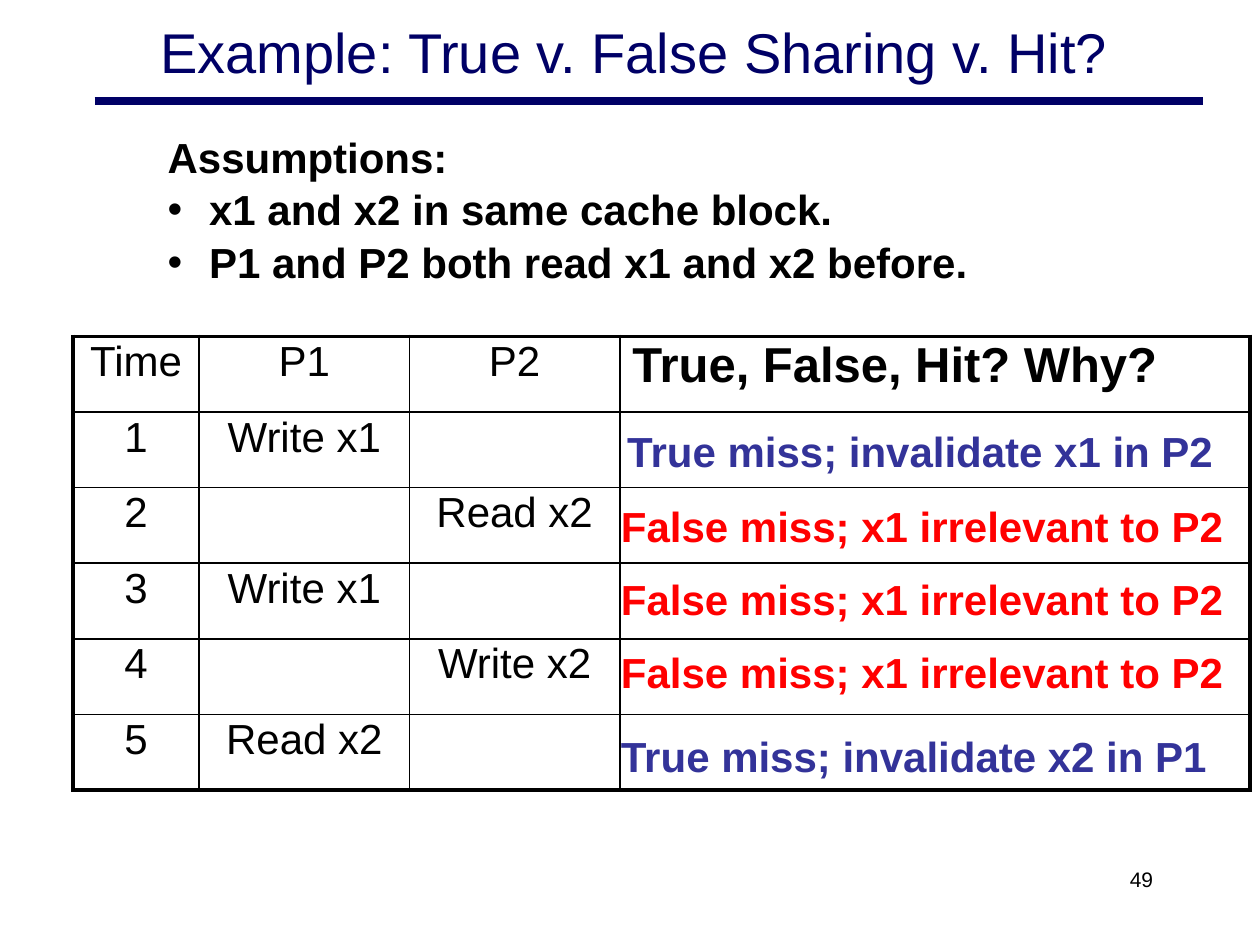
"""Build the slide on true sharing, false sharing and hits."""
import pptx
import pptx.dml.color
import pptx.enum.shapes
import pptx.enum.text
import pptx.oxml.ns
import pptx.util
from lxml import etree

Inches = pptx.util.Inches
Pt = pptx.util.Pt
ALIGN = pptx.enum.text.PP_ALIGN
ANCHOR = pptx.enum.text.MSO_ANCHOR
COLORS = {"navy": "000066", "black": "000000", "true": "333399", "false": "FF0000"}
MARGINS = {
    "margin_left": Inches(0.1),
    "margin_top": Inches(0.05),
    "margin_right": Inches(0.1),
    "margin_bottom": 0,
}
ASSUMPTIONS = [
    "Assumptions:",
    "x1 and x2 in same cache block.",
    "P1 and P2 both read x1 and x2 before.",
]
COLUMN_WIDTHS = [1, 1.67, 1.67, 5]
ROWS = [
    ["Time", "P1", "P2", "True, False, Hit? Why?"],
    ["1", "Write x1", "", ""],
    ["2", "", "Read x2", ""],
    ["3", "Write x1", "", ""],
    ["4", "", "Write x2", ""],
    ["5", "Read x2", "", ""],
]
FALSE_MISS = "False miss; x1 irrelevant to P2"
ANSWERS = [
    (4.88, 3.33, 4.87, "True miss; invalidate x1 in P2", "true"),
    (4.83, 3.92, 4.98, FALSE_MISS, "false"),
    (4.83, 4.5, 4.98, FALSE_MISS, "false"),
    (4.83, 5.08, 4.98, FALSE_MISS, "false"),
    (4.83, 5.75, 4.87, "True miss; invalidate x2 in P1", "true"),
]


def set_attributes(target, values):
    for name, value in values.items():
        setattr(target, name, value)


def rgb(color):
    return pptx.dml.color.RGBColor.from_string(COLORS[color])


def add_child(parent, tag, **attributes):
    return etree.SubElement(parent, pptx.oxml.ns.qn(tag), attributes)


def place(shape, left, top, width, height):
    box = zip(("left", "top", "width", "height"), (left, top, width, height))
    set_attributes(shape, {name: Inches(value) for name, value in box})


def write_paragraph(paragraph, text, size=24, color="black", bold=False, **layout):
    run = paragraph.add_run()
    run.text = text
    set_attributes(run.font, {"name": "Arial", "size": Pt(size), "bold": bold})
    run.font.color.rgb = rgb(color)
    set_attributes(paragraph, layout)


def add_title(slide):
    title = slide.shapes.title
    place(title, 0.84, 0, 8.39, 0.81)
    title.text_frame.vertical_anchor = ANCHOR.MIDDLE
    write_paragraph(
        title.text_frame.paragraphs[0],
        "Example: True v. False Sharing v. Hit?",
        size=32,
        color="navy",
        alignment=ALIGN.CENTER,
    )


def add_rule(slide):
    rule = slide.shapes.add_connector(
        pptx.enum.shapes.MSO_CONNECTOR.STRAIGHT,
        Inches(0.75), Inches(0.8), Inches(9.55), Inches(0.8),
    )
    rule.line.color.rgb = rgb("navy")
    rule.line.width = Pt(4.5)
    add_child(rule._element.spPr, "a:effectLst")


def add_assumptions(slide):
    body = slide.placeholders[1]
    place(body, 1.23, 0.97, 7.5, 1.26)
    frame = body.text_frame
    set_attributes(frame, MARGINS)
    frame.auto_size = pptx.enum.text.MSO_AUTO_SIZE.NONE
    for index, text in enumerate(ASSUMPTIONS):
        paragraph = frame.add_paragraph() if index else frame.paragraphs[0]
        write_paragraph(
            paragraph, text, bold=True, space_before=Pt(0), line_spacing=1.05
        )
        properties = paragraph._p.get_or_add_pPr()
        indent = Inches(0.33) if index else 0
        properties.set("marL", str(indent))
        properties.set("indent", str(-indent))
        if index:
            add_child(properties, "a:buFont", typeface="Arial")
            add_child(properties, "a:buChar", char="•")
        else:
            add_child(properties, "a:buNone")


def set_border(cell, side, width):
    line = add_child(cell._tc.get_or_add_tcPr(), f"a:ln{side}", w=str(Pt(width)))
    add_child(add_child(line, "a:solidFill"), "a:srgbClr", val=COLORS["black"])


def add_sharing_table(slide):
    last_row, last_column = len(ROWS) - 1, len(COLUMN_WIDTHS) - 1
    table = slide.shapes.add_table(
        len(ROWS), len(COLUMN_WIDTHS),
        Inches(0.58), Inches(2.67), Inches(9.33), Inches(3.58),
    ).table
    set_attributes(table, {"first_row": False, "horz_banding": False})
    for column, width in zip(table.columns, COLUMN_WIDTHS):
        column.width = Inches(width)
    for row_index, texts in enumerate(ROWS):
        table.rows[row_index].height = Inches(0.6)
        for column_index, text in enumerate(texts):
            cell = table.cell(row_index, column_index)
            set_attributes(cell, MARGINS)
            outer_sides = {
                "L": column_index == 0,
                "R": column_index == last_column,
                "T": row_index == 0,
                "B": row_index == last_row,
            }
            for side, is_outer in outer_sides.items():
                set_border(cell, side, 2.25 if is_outer else 1)
            cell.fill.background()
            if text:
                is_question = column_index == last_column
                write_paragraph(
                    cell.text_frame.paragraphs[0],
                    text,
                    size=28 if is_question else 24,
                    bold=is_question,
                    alignment=ALIGN.LEFT if is_question else ALIGN.CENTER,
                    line_spacing=0.9,
                )


def add_text(slide, box, text, wrap=False, margins=MARGINS, **style):
    frame = slide.shapes.add_textbox(*map(Inches, box)).text_frame
    set_attributes(frame, {"word_wrap": wrap, **margins})
    write_paragraph(frame.paragraphs[0], text, **style)


def main():
    presentation = pptx.Presentation()
    set_attributes(
        presentation, {"slide_width": Inches(10), "slide_height": Inches(7.5)}
    )
    slide = presentation.slides.add_slide(presentation.slide_layouts[1])
    add_rule(slide)
    add_title(slide)
    add_sharing_table(slide)
    add_assumptions(slide)
    for left, top, width, text, color in ANSWERS:
        add_text(slide, (left, top, width, 0.45), text, color=color, bold=True)
    add_text(
        slide, (7.17, 6.83, 2.08, 0.5), "49",
        wrap=True, margins={}, size=12, alignment=ALIGN.RIGHT,
    )
    presentation.save("out.pptx")


if __name__ == "__main__":
    main()
